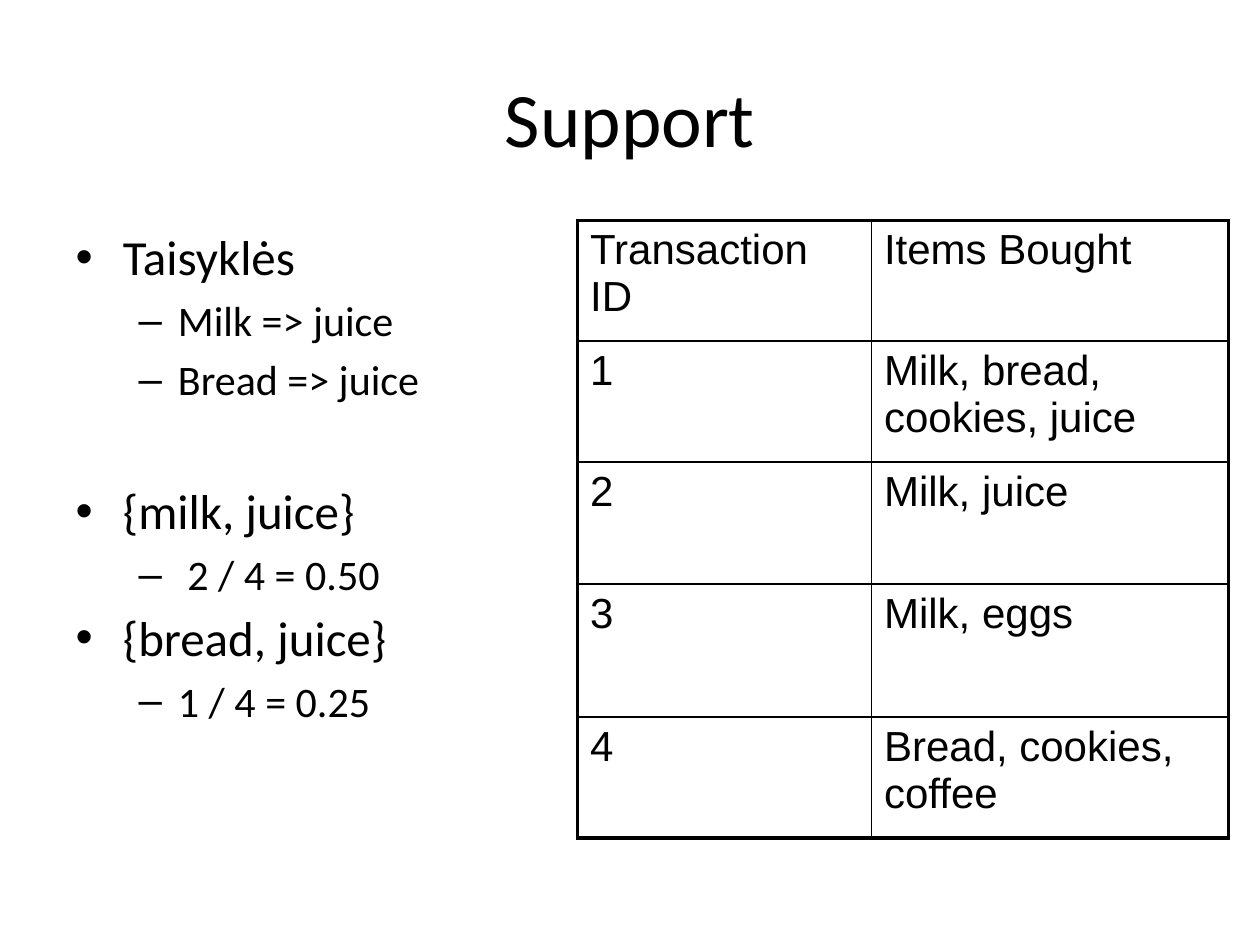
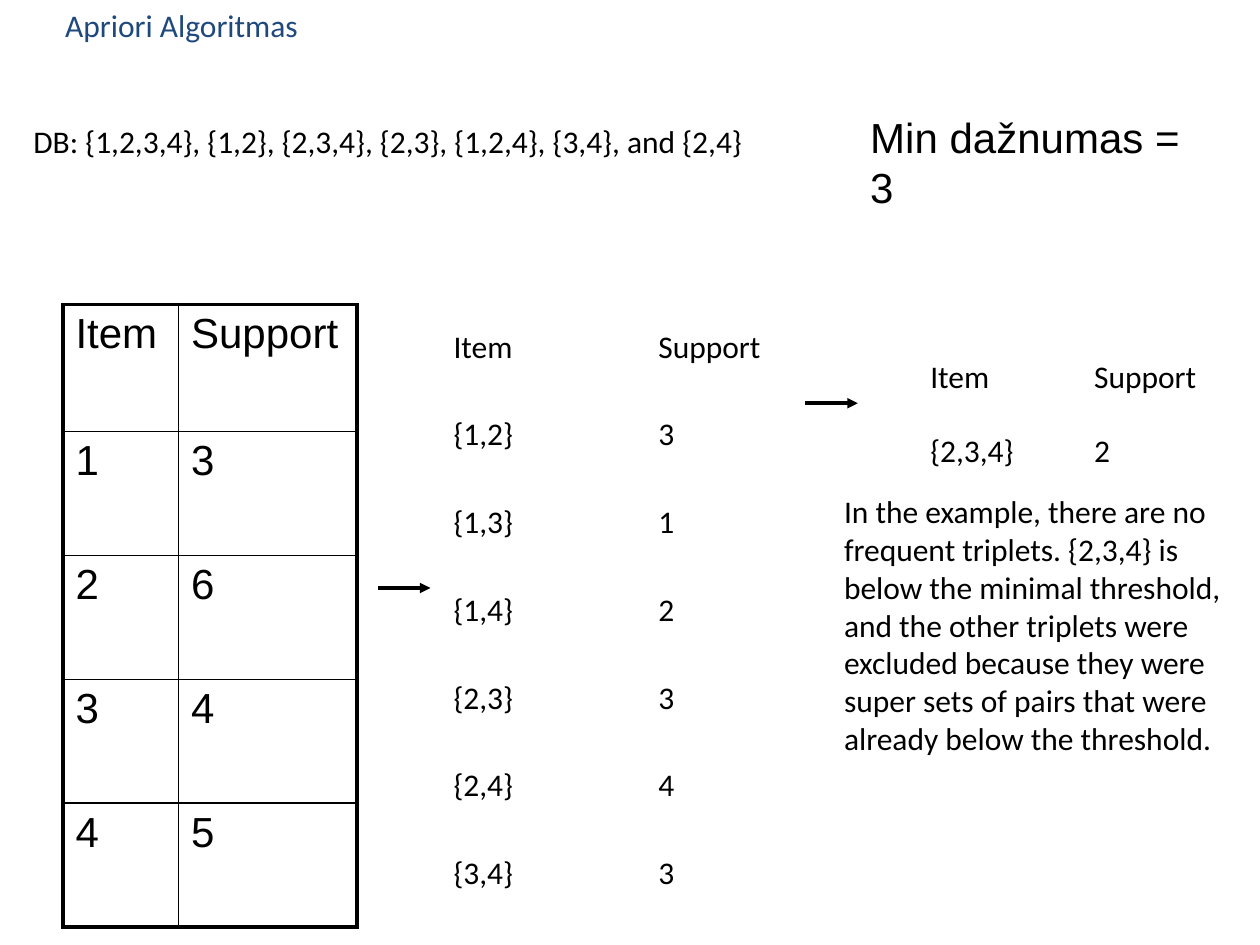
from dataclasses import dataclass
from typing import Sequence

from lxml.etree import SubElement
from pptx import Presentation
from pptx.dml.color import RGBColor
from pptx.enum.shapes import MSO_CONNECTOR
from pptx.enum.text import MSO_ANCHOR, PP_ALIGN
from pptx.oxml import parse_xml
from pptx.oxml.ns import nsdecls, qn
from pptx.util import Emu, Inches, Pt

# Shared look
BLACK, NAVY, WHITE = "000000", "1F497D", "FFFFFF"
HEADING, LABEL = "Calibri", "Arial"
OUTER, INNER = 2.25, 1  # table border widths in points
NO_STYLE = "{2D5ABB26-0587-4C30-8999-92F81FD0307C}"
COLS, ROWS = 120, 90  # layout grid over the whole slide

prs = Presentation()
prs.slide_width, prs.slide_height = Inches(10), Inches(7.5)


@dataclass(frozen=True)
class Box:
    """A place on the grid, in columns and rows."""
    left: float
    top: float
    width: float
    height: float


@dataclass(frozen=True)
class Style:
    font: str = HEADING
    size: float = 18
    color: str = BLACK
    align: PP_ALIGN = PP_ALIGN.LEFT
    anchor: MSO_ANCHOR = MSO_ANCHOR.TOP


@dataclass(frozen=True)
class Grid:
    """A table: its corner, column widths, row heights and cell texts."""
    left: float
    top: float
    widths: Sequence[float]
    heights: Sequence[float]
    cells: Sequence[Sequence[str]]
    style: Style
    ruled: bool = False


@dataclass(frozen=True)
class Bullet:
    text: str
    level: int = 0
    before: float = 5


PLAIN = Style()
MIDDLE = Style(anchor=MSO_ANCHOR.MIDDLE)
LARGE = Style(LABEL, 24)
TITLE = Style(size=44, align=PP_ALIGN.CENTER, anchor=MSO_ANCHOR.MIDDLE)
SMALL_TITLE = Style(color=NAVY)


def x(cols: float) -> Emu:
    return Emu(round(prs.slide_width * cols / COLS))


def y(rows: float) -> Emu:
    return Emu(round(prs.slide_height * rows / ROWS))


def rgb(color: str) -> RGBColor:
    return RGBColor.from_string(color)


def place(sp, box: Box) -> None:
    sp.left, sp.top = x(box.left), y(box.top)
    sp.width, sp.height = x(box.width), y(box.height)


def set_font(p, style: Style) -> None:
    p.font.name, p.font.size = style.font, Pt(style.size)
    p.font.color.rgb = rgb(style.color)
    p.alignment = style.align


def write(tf, text: str, style: Style) -> None:
    tf.word_wrap = True
    tf.vertical_anchor = style.anchor
    tf.text = text
    set_font(tf.paragraphs[0], style)


def new_slide(layout: int, title: str, box: Box, style: Style):
    s = prs.slides.add_slide(prs.slide_layouts[layout])
    s.background.fill.solid()
    s.background.fill.fore_color.rgb = rgb(WHITE)
    place(s.shapes.title, box)
    write(s.shapes.title.text_frame, title, style)
    return s


def add_text(s, box: Box, text: str, style: Style) -> None:
    sp = s.shapes.add_textbox(0, 0, 0, 0)
    place(sp, box)
    write(sp.text_frame, text, style)


def fill_list(sp, box: Box, bullets: Sequence[Bullet]) -> None:
    place(sp, box)
    tf = sp.text_frame
    for i, bullet in enumerate(bullets):
        p = tf.add_paragraph() if i else tf.paragraphs[0]
        p.text, p.level = bullet.text, bullet.level
        p.space_before = Pt(bullet.before)
        set_font(p, Style(size=24 if bullet.level else 28))


def set_borders(cell, widths: Sequence[float]) -> None:
    """Rule a cell: left, right, top and bottom widths in points."""
    tc_pr = cell._tc.get_or_add_tcPr()
    for i, (side, width) in enumerate(zip("LRTB", widths)):
        tc_pr.insert(i, parse_xml(
            f'<a:ln{side} {nsdecls("a")} w="{Pt(width)}"><a:solidFill>'
            f'<a:srgbClr val="{BLACK}"/></a:solidFill></a:ln{side}>'))


def add_grid(s, grid: Grid) -> None:
    rows, cols = len(grid.heights), len(grid.widths)
    frame = s.shapes.add_table(rows, cols, x(grid.left), y(grid.top),
                               x(sum(grid.widths)), y(sum(grid.heights)))
    table = frame.table
    table.first_row = table.horz_banding = False
    frame._element.find(".//" + qn("a:tableStyleId")).text = NO_STYLE
    for col, width in zip(table.columns, grid.widths):
        col.width = x(width)
    for row, height in zip(table.rows, grid.heights):
        row.height = y(height)
    for r, texts in enumerate(grid.cells):
        for c, text in enumerate(texts):
            cell = table.cell(r, c)
            cell.fill.background()
            cell.vertical_anchor = grid.style.anchor
            cell.text = text
            set_font(cell.text_frame.paragraphs[0], grid.style)
            if grid.ruled:
                edges = (c == 0, c == cols - 1, r == 0, r == rows - 1)
                set_borders(cell, [OUTER if e else INNER for e in edges])


def add_arrow(s, left: float, top: float, length: float = 5) -> None:
    line = s.shapes.add_connector(MSO_CONNECTOR.STRAIGHT, x(left), y(top),
                                  x(left + length), y(top))
    line.line.width = Pt(2)
    line.line.color.rgb = rgb(BLACK)
    SubElement(line.line._get_or_add_ln(), qn("a:tailEnd"), type="triangle")
    SubElement(line._element.spPr, qn("a:effectLst"))


# Slide 1: support of two rules
s = new_slide(3, "Support", Box(6, 3.6, 108, 15), TITLE)
body, spare = s.placeholders[1], s.placeholders[2]
spare._element.getparent().remove(spare._element)
fill_list(body, Box(6, 21, 53, 59.4), [
    Bullet("Taisyklės"),
    Bullet("Milk => juice", 1),
    Bullet("Bread => juice", 1),
    Bullet("{milk, juice}", before=44),
    Bullet(" 2 / 4 = 0.50", 1),
    Bullet("{bread, juice}"),
    Bullet("1 / 4 = 0.25", 1),
])
add_grid(s, Grid(55, 21, (28, 34), (11.5, 11.5, 11.6, 12.7, 11.5), [
    ("Transaction ID", "Items Bought"),
    ("1", "Milk, bread, cookies, juice"),
    ("2", "Milk, juice"),
    ("3", "Milk, eggs"),
    ("4", "Bread, cookies, coffee"),
], LARGE, ruled=True))

# Slide 2: Apriori, from single items to triplets
s = new_slide(5, "Apriori Algoritmas", Box(5, 0, 39.4, 6.8), SMALL_TITLE)
add_text(s, Box(2, 10, 118, 6.8),
         "DB: {1,2,3,4}, {1,2}, {2,3,4}, {2,3}, {1,2,4}, {3,4}, and {2,4}",
         MIDDLE)
add_text(s, Box(81.7, 10, 32, 10.8), "Min dažnumas = 3", LARGE)

header = ("Item", "Support")
add_grid(s, Grid(6, 29, (11, 17), [12.1] + [11.8] * 4, [
    header, ("1", "3"), ("2", "6"), ("3", "4"), ("4", "5"),
], LARGE, ruled=True))
add_arrow(s, 36, 56)
add_grid(s, Grid(42, 28.9, [19.5] * 2, [8.36] * 7, [
    header, ("{1,2}", "3"), ("{1,3}", "1"), ("{1,4}", "2"),
    ("{2,3}", "3"), ("{2,4}", "4"), ("{3,4}", "3"),
], MIDDLE))
add_arrow(s, 76.7, 38.4)
add_grid(s, Grid(87.4, 31.4, [15.6] * 2, (9.2, 4.8),
                 [header, ("{2,3,4}", "2")], MIDDLE))
add_text(s, Box(79.2, 46.3, 40.4, 26.6),
         "In the example, there are no frequent triplets. {2,3,4} is below "
         "the minimal threshold, and the other triplets were excluded because "
         "they were super sets of pairs that were already below the "
         "threshold.", PLAIN)

prs.save("out.pptx")
